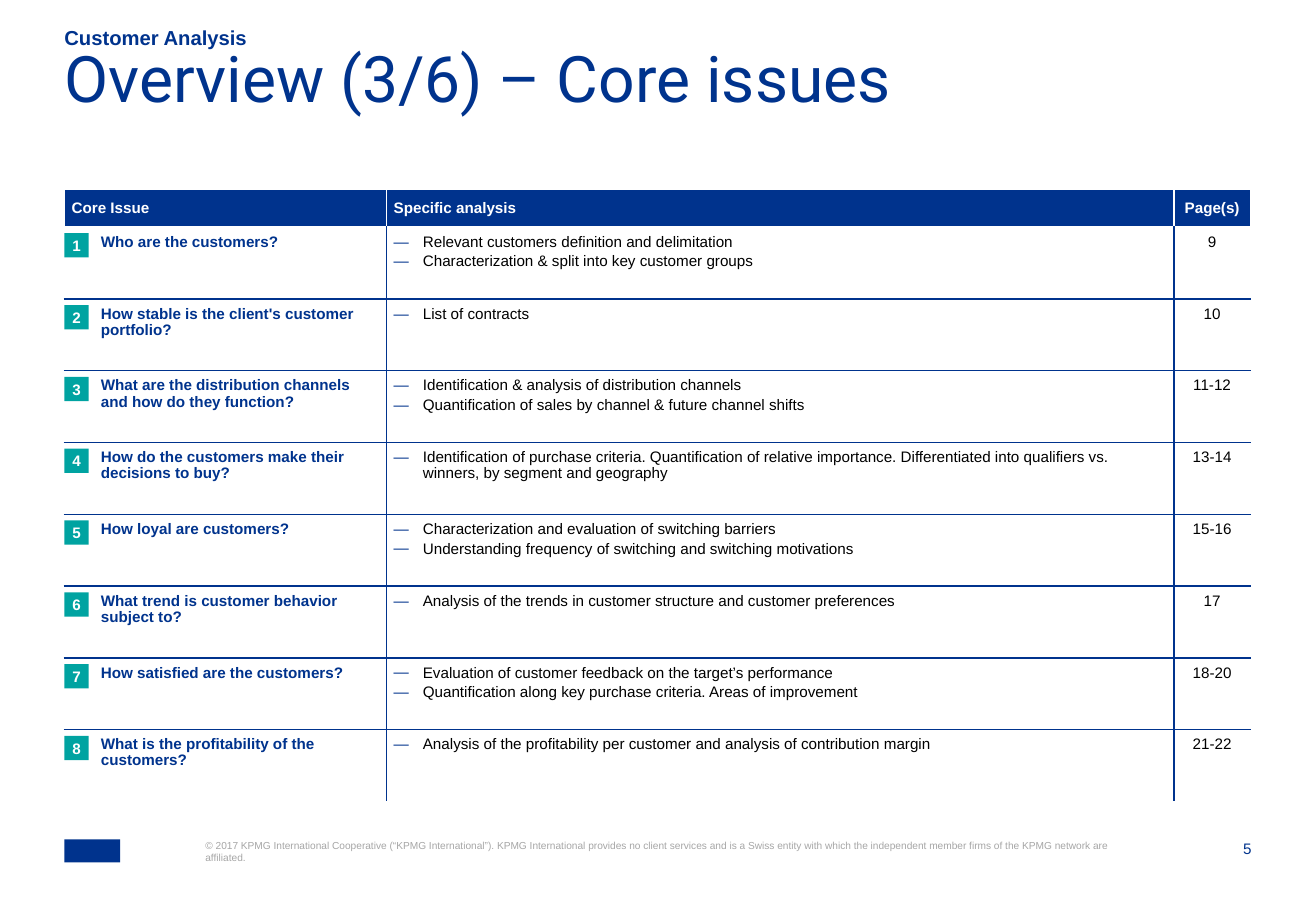
from lxml import etree
from pptx import Presentation
from pptx.dml.color import RGBColor
from pptx.enum import shapes, text
from pptx.oxml import ns
from pptx.util import Inches, Pt

BLUE = RGBColor(0x00, 0x33, 0x8D)
TEAL = RGBColor(0x00, 0xA3, 0xA1)
GREY = RGBColor(0xA6, 0xA6, 0xA6)
BLACK = RGBColor(0x00, 0x00, 0x00)
WHITE = RGBColor(0xFF, 0xFF, 0xFF)

LEFT, TABLE_TOP = 0.53, 1.56
COLUMN_WIDTHS = (2.65, 6.48, 0.63)
HEADER_HEIGHT = 0.31
BODY_HEIGHT = 4.73
BADGE_SIZE = 0.2
INDENT = 0.24

HEADERS = ("Core Issue", "Specific analysis", "Page(s)")
ISSUES = (
    ("Who are the customers?",
     ("Relevant customers definition and delimitation",
      "Characterization & split into key customer groups"), "9"),
    ("How stable is the client's customer portfolio?",
     ("List of contracts",), "10"),
    ("What are the distribution channels and how do they function?",
     ("Identification & analysis of distribution channels",
      "Quantification of sales by channel & future channel shifts"), "11-12"),
    ("How do the customers make their decisions to buy?",
     ("Identification of purchase criteria. Quantification of relative importance. "
      "Differentiated into qualifiers vs. winners, by segment and geography",), "13-14"),
    ("How loyal are customers?",
     ("Characterization and evaluation of switching barriers",
      "Understanding frequency of switching and switching motivations"), "15-16"),
    ("What trend is customer behavior subject to?",
     ("Analysis of the trends in customer structure and customer preferences",), "17"),
    ("How satisfied are the customers?",
     ("Evaluation of customer feedback on the target’s performance",
      "Quantification along key purchase criteria. Areas of improvement"), "18-20"),
    ("What is the profitability of the customers?",
     ("Analysis of the profitability per customer and analysis of contribution margin",),
     "21-22"),
)
ROW_HEIGHT = BODY_HEIGHT / len(ISSUES)
COPYRIGHT = (
    "© 2017 KPMG International Cooperative (“KPMG International”). KPMG International "
    "provides no client services and is a Swiss entity with which the independent member "
    "firms of the KPMG network are affiliated.")


def set_all(target, values):
    for name, value in values.items():
        setattr(target, name, value)


def place(shape, left, top, width, height):
    set_all(shape, {"left": Inches(left), "top": Inches(top),
                    "width": Inches(width), "height": Inches(height)})


def write(para, words, size, color, bold=False, font="Arial", **layout):
    set_all(para, {"alignment": text.PP_ALIGN.LEFT, "space_before": Pt(0), **layout})
    span = para.add_run()
    span.text = words
    set_all(span.font, {"size": Pt(size), "bold": bold, "name": font})
    span.font.color.rgb = color


def fill_frame(box, words, size, color, anchor=text.MSO_ANCHOR.TOP, **style):
    """Write one paragraph into a shape's text frame without margins."""
    frame = box.text_frame
    set_all(frame, {"margin_left": 0, "margin_right": 0, "margin_top": 0, "margin_bottom": 0,
                    "word_wrap": True, "auto_size": text.MSO_AUTO_SIZE.NONE,
                    "vertical_anchor": anchor})
    write(frame.paragraphs[0], words, size, color, **style)


def add_label(page, position, words, size, color, **style):
    box = page.shapes.add_textbox(*map(Inches, position))
    fill_frame(box, words, size, color, **style)


def add_rectangle(page, position, color):
    box = page.shapes.add_shape(shapes.MSO_SHAPE.RECTANGLE, *map(Inches, position))
    box.shadow.inherit = False
    box.fill.solid()
    box.fill.fore_color.rgb = color
    box.line.fill.background()
    return box


def set_indent(para, first_line=0.0, left=INDENT):
    properties = para._p.get_or_add_pPr()
    properties.set("marL", str(Inches(left)))
    properties.set("indent", str(Inches(first_line)))
    return properties


def add_dash(para):
    properties = set_indent(para, -INDENT)
    color = etree.SubElement(properties, ns.qn("a:buClr"))
    etree.SubElement(color, ns.qn("a:srgbClr"), val=str(BLUE))
    etree.SubElement(properties, ns.qn("a:buFont"), typeface="Arial")
    etree.SubElement(properties, ns.qn("a:buChar"), char="—")


def format_cell(cell, fill, borders):
    """Set margins, fill and the left, right, top and bottom border colours."""
    margin = Inches(0.06)
    set_all(cell, {"margin_left": margin, "margin_right": margin,
                   "margin_top": margin, "margin_bottom": margin})
    properties = cell._tc.get_or_add_tcPr()
    for side, color in zip("LRTB", borders):
        line = etree.SubElement(properties, ns.qn(f"a:ln{side}"), w=str(Pt(1)))
        solid = etree.SubElement(line, ns.qn("a:solidFill"))
        etree.SubElement(solid, ns.qn("a:srgbClr"), val=str(color))
    cell.fill.solid()
    cell.fill.fore_color.rgb = fill


def column_alignment(column):
    return text.PP_ALIGN.CENTER if column == 2 else text.PP_ALIGN.LEFT


def fill_header(table):
    for column, words in enumerate(HEADERS):
        cell = table.cell(0, column)
        format_cell(cell, BLUE, [WHITE] * 4)
        cell.vertical_anchor = text.MSO_ANCHOR.MIDDLE
        write(cell.text_frame.paragraphs[0], words, 9, WHITE, bold=True,
              line_spacing=0.95, alignment=column_alignment(column))


def fill_issue(table, row, issue):
    question, analyses, pages = issue
    top = WHITE if row == 1 else BLUE
    bottom = WHITE if row == len(ISSUES) else BLUE
    for column, lines in enumerate(((question,), analyses, (pages,))):
        cell = table.cell(row, column)
        left = WHITE if column == 0 else BLUE
        right = WHITE if column == 2 else BLUE
        format_cell(cell, WHITE, (left, right, top, bottom))
        frame = cell.text_frame
        for number, words in enumerate(lines):
            para = frame.add_paragraph() if number else frame.paragraphs[0]
            if column == 0:
                set_indent(para)
            elif column == 1:
                add_dash(para)
            write(para, words, 9, BLACK if column else BLUE, bold=column == 0,
                  line_spacing=0.95, space_after=Pt(2), alignment=column_alignment(column))


def add_issue_table(page):
    holder = page.shapes.add_table(
        len(ISSUES) + 1, len(HEADERS), Inches(LEFT), Inches(TABLE_TOP),
        Inches(sum(COLUMN_WIDTHS)), Inches(HEADER_HEIGHT + BODY_HEIGHT))
    table = holder.table
    set_all(table, {"first_row": False, "horz_banding": False})
    for column, width in zip(table.columns, COLUMN_WIDTHS):
        column.width = Inches(width)
    for row in table.rows:
        row.height = Inches(ROW_HEIGHT)
    table.rows[0].height = Inches(HEADER_HEIGHT)
    fill_header(table)
    for row, issue in enumerate(ISSUES, 1):
        fill_issue(table, row, issue)


def add_badges(page):
    for index in range(len(ISSUES)):
        top = TABLE_TOP + HEADER_HEIGHT + 0.05 + index * ROW_HEIGHT
        badge = add_rectangle(page, (LEFT, top, BADGE_SIZE, BADGE_SIZE), TEAL)
        fill_frame(badge, str(index + 1), 9, WHITE, anchor=text.MSO_ANCHOR.MIDDLE,
                   bold=True, alignment=text.PP_ALIGN.CENTER)


def add_headings(page):
    title, topic = page.shapes.title, page.placeholders[1]
    place(topic, LEFT, 0.22, 9.4, 0.19)
    properties = set_indent(topic.text_frame.paragraphs[0], left=0)
    etree.SubElement(properties, ns.qn("a:buNone"))
    fill_frame(topic, "Customer Analysis", 12, BLUE, anchor=text.MSO_ANCHOR.BOTTOM, bold=True)
    place(title, LEFT, 0.49, 9.76, 0.79)
    fill_frame(title, "Overview (3/6) – Core issues", 38, BLUE, font="Roboto", line_spacing=0.7)


def add_footer(page):
    add_rectangle(page, (LEFT, 6.91, 0.46, 0.19), BLUE)
    add_label(page, (1.69, 6.91, 7.49, 0.41), COPYRIGHT, 6, GREY)
    add_label(page, (9.87, 6.91, 0.43, 0.16), "5", 9, BLUE, alignment=text.PP_ALIGN.RIGHT)


def main():
    deck = Presentation()
    set_all(deck, {"slide_width": Inches(10.83), "slide_height": Inches(7.5)})
    page = deck.slides.add_slide(deck.slide_layouts[1])
    add_headings(page)
    add_issue_table(page)
    add_badges(page)
    add_footer(page)
    deck.save("out.pptx")


if __name__ == "__main__":
    main()
